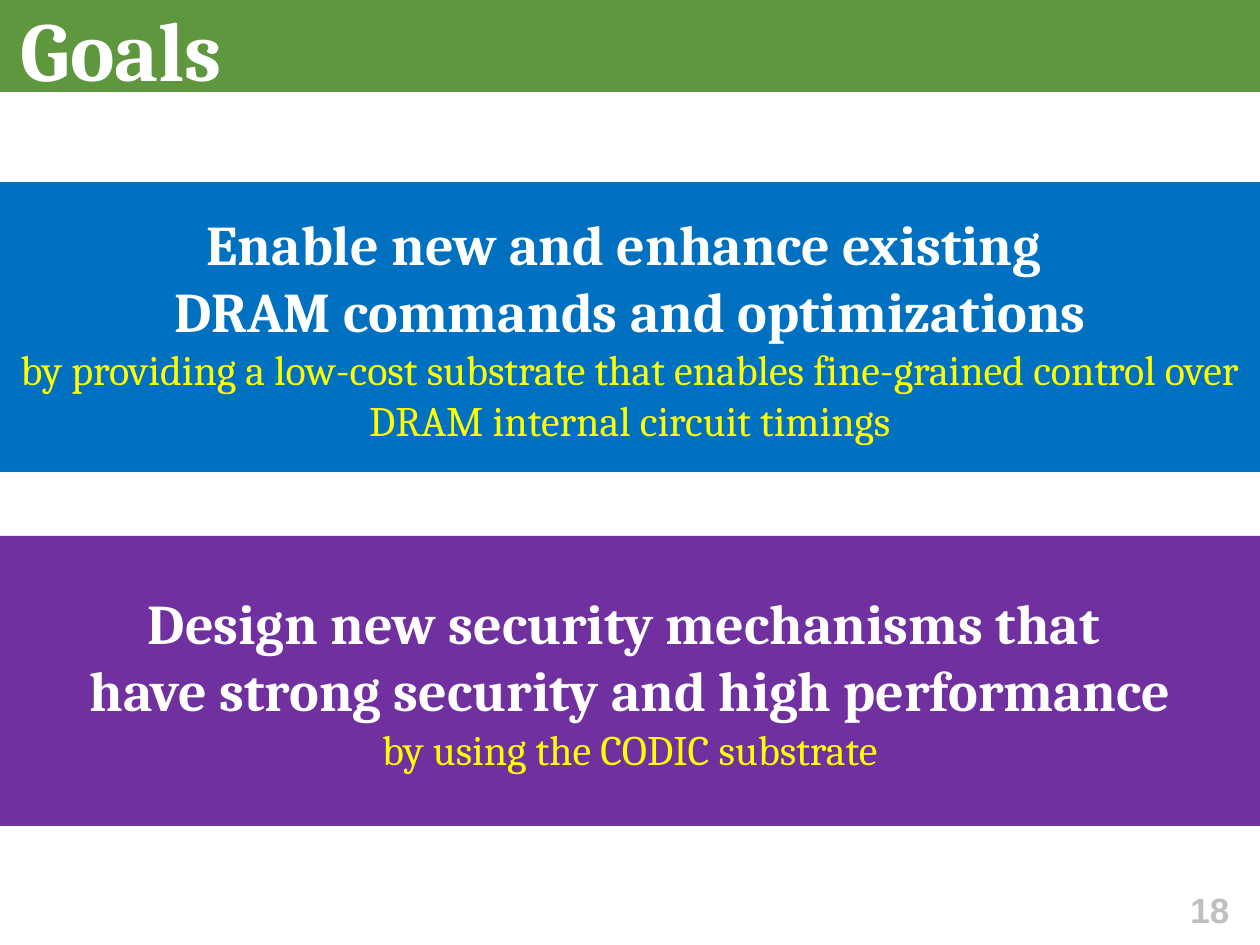
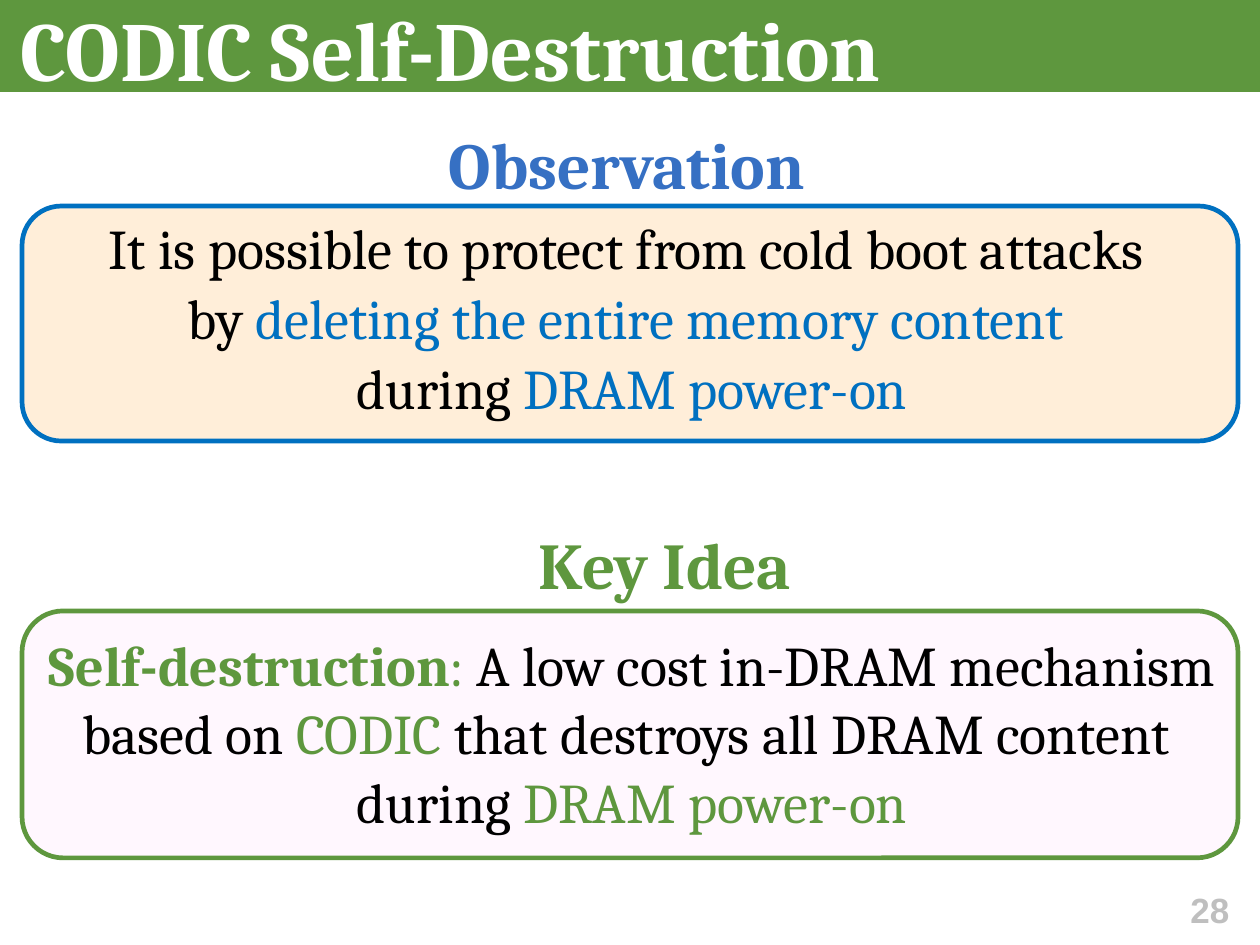
import pptx
import pptx.dml.color
import pptx.enum.shapes
import pptx.enum.text
import pptx.util

EMU_PER_PX = 914400 / 168
WIDTH, HEIGHT = 1260, 945
SERIF, SANS = "Cambria", "Arial"
WHITE, BLACK, GRAY, YELLOW = "FFFFFF", "000000", "BFBFBF", "FFFF00"
GREEN, BLUE, HEADING_BLUE, PURPLE = "5E973E", "0070C0", "3670C3", "7030A0"
CREAM, PALE_PINK = "FFEED9", "FFF7FE"

SHAPES = pptx.enum.shapes.MSO_SHAPE
ANCHORS = pptx.enum.text.MSO_ANCHOR
ALIGNMENTS = pptx.enum.text.PP_ALIGN


def px(*lengths):
    return [pptx.util.Emu(round(length * EMU_PER_PX)) for length in lengths]


def rgb(value):
    return pptx.dml.color.RGBColor.from_string(value)


class Deck:
    """Holds the presentation, its style and the current slide."""

    def __init__(self):
        self.presentation = pptx.Presentation()
        self.presentation.slide_width, self.presentation.slide_height = px(WIDTH, HEIGHT)

    def new_slide(self, title, number):
        layout = self.presentation.slide_layouts[5]
        self.slide = self.presentation.slides.add_slide(layout)
        self.shape(SHAPES.RECTANGLE, (0, 0, WIDTH, 92), GREEN)
        placeholder = self.slide.shapes.title
        placeholder.left, placeholder.top, placeholder.width, placeholder.height = px(9, -14, 1240, 106)
        self.slide.shapes._spTree.append(placeholder._element)  # in front of the band
        self.fill_frame(placeholder.text_frame, [[(title, WHITE, True)]], 36,
                        alignment=ALIGNMENTS.LEFT, margins=(12, 12))
        self.text((1184, 890, 52, 39), [[(str(number), GRAY, True)]], 15, font=SANS,
                  anchor=ANCHORS.MIDDLE, margins=(6, 0), wrap=False)

    def shape(self, kind, box, fill, line=None):
        shape = self.slide.shapes.add_shape(kind, *px(*box))
        shape.shadow.inherit = False
        shape.fill.solid()
        shape.fill.fore_color.rgb = rgb(fill)
        if line:
            shape.line.color.rgb = rgb(line)
            shape.line.width = pptx.util.Pt(2)
        else:
            shape.line.fill.background()
        return shape

    def fill_frame(self, frame, paragraphs, size, font=SERIF, alignment=ALIGNMENTS.CENTER,
                   anchor=ANCHORS.TOP, margins=(17, 8), wrap=True, space_before=0):
        """Fill a frame; each paragraph lists runs of (text, colour, bold[, size])."""
        frame.auto_size = pptx.enum.text.MSO_AUTO_SIZE.NONE
        frame.word_wrap = wrap
        frame.vertical_anchor = anchor
        side, end = px(*margins)
        frame.margin_left = frame.margin_right = side
        frame.margin_top = frame.margin_bottom = end
        for index, runs in enumerate(paragraphs):
            paragraph = frame.add_paragraph() if index else frame.paragraphs[0]
            paragraph.alignment = alignment
            if index and space_before:
                paragraph.space_before = pptx.util.Pt(space_before)
            for text, color, bold, *own_size in runs:
                run = paragraph.add_run()
                run.text = text
                run.font.name = font
                run.font.size = pptx.util.Pt(own_size[0] if own_size else size)
                run.font.bold = bold
                run.font.color.rgb = rgb(color)

    def text(self, box, paragraphs, size, **style):
        shape = self.slide.shapes.add_textbox(*px(*box))
        self.fill_frame(shape.text_frame, paragraphs, size, **style)

    def goal(self, top, color, lines, means):
        """Full-width band: bold goal lines, then how it is reached."""
        band = self.shape(SHAPES.RECTANGLE, (0, top, WIDTH, 290), color)
        paragraphs = [[(line, WHITE, True)] for line in lines]
        paragraphs.append([(means, YELLOW, False, 18)])
        self.fill_frame(band.text_frame, paragraphs, 24, anchor=ANCHORS.MIDDLE)

    def card(self, top, height, fill, line, text_top, paragraphs):
        self.shape(SHAPES.ROUNDED_RECTANGLE, (22, top, 1216, height), fill, line)
        self.text((14, text_top, 1236, 208), paragraphs, 24, margins=(0, 0), space_before=1)

    def heading(self, left, top, width, text, color):
        self.text((left, top, width, 96), [[(text, color, True)]], 28, wrap=False)


def main():
    deck = Deck()

    deck.new_slide("Goals", 18)
    deck.goal(182, BLUE,
              ["Enable new and enhance existing ", "DRAM commands and optimizations"],
              "by providing a low-cost substrate that enables fine-grained control over "
              "DRAM internal circuit timings")
    deck.goal(536, PURPLE,
              ["Design new security mechanisms that ", "have strong security and high performance"],
              "by using the CODIC substrate")

    deck.new_slide("CODIC Self-Destruction", 28)
    deck.card(206, 235, CREAM, BLUE, 214, [
        [("It is possible to protect from cold boot attacks ", BLACK, False)],
        [("by ", BLACK, False), ("deleting the entire memory content ", BLUE, False)],
        [("during ", BLACK, False), ("DRAM power-on", BLUE, False)],
    ])
    deck.card(611, 247, PALE_PINK, GREEN, 631, [
        [("Self-destruction", GREEN, True), (": ", GREEN, False),
         ("A low cost in-DRAM mechanism based on ", BLACK, False),
         ("CODIC ", GREEN, False),
         ("that destroys all DRAM content ", BLACK, False)],
        [("during ", BLACK, False), ("DRAM power-on", GREEN, False)],
    ])
    deck.heading(424, 116, 406, "Observation", HEADING_BLUE)
    deck.heading(517, 516, 296, "Key Idea", GREEN)

    deck.presentation.save("out.pptx")


if __name__ == "__main__":
    main()
